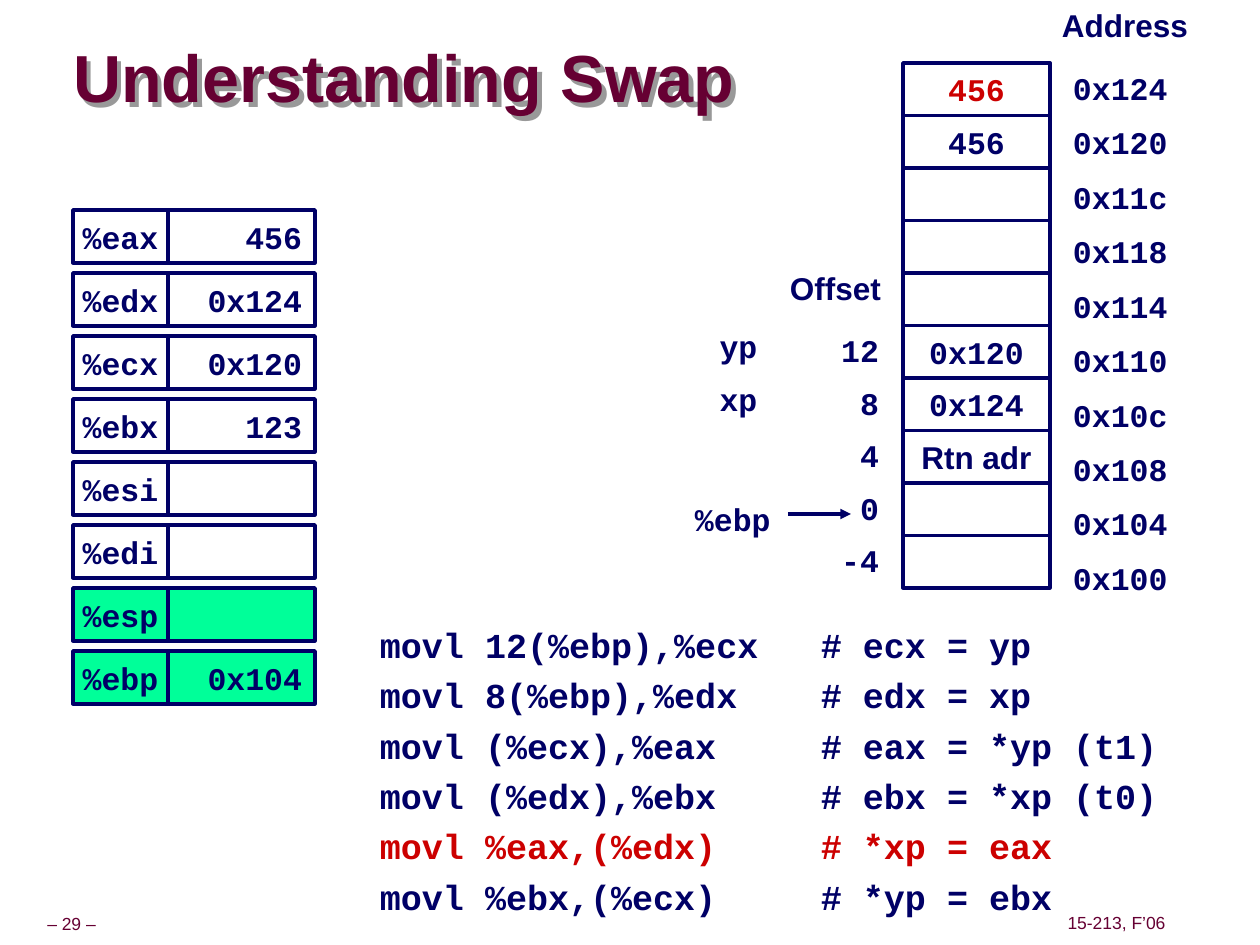
from lxml import etree
from pptx import Presentation
from pptx.dml.color import RGBColor
from pptx.enum.shapes import MSO_CONNECTOR, MSO_SHAPE
from pptx.enum.text import MSO_ANCHOR, PP_ALIGN
from pptx.oxml import parse_xml
from pptx.oxml.ns import nsdecls, qn
from pptx.util import Pt

NAVY = RGBColor(0x00, 0x00, 0x66)
MAROON = RGBColor(0x66, 0x00, 0x33)
RED = RGBColor(0xCC, 0x00, 0x00)
GREEN = RGBColor(0x00, 0xFF, 0x99)
WHITE = RGBColor(0xFF, 0xFF, 0xFF)
LEFT, CENTER, RIGHT = PP_ALIGN.LEFT, PP_ALIGN.CENTER, PP_ALIGN.RIGHT
TOP, MIDDLE = MSO_ANCHOR.TOP, MSO_ANCHOR.MIDDLE
SANS, MONO = "Arial", "Courier New"
PX = 914400 // 126

REGISTERS = [
    ("%eax", "456", WHITE),
    ("%edx", "0x124", WHITE),
    ("%ecx", "0x120", WHITE),
    ("%ebx", "123", WHITE),
    ("%esi", "", WHITE),
    ("%edi", "", WHITE),
    ("%esp", "", GREEN),
    ("%ebp", "0x104", GREEN),
]
STACK = [
    ("0x124", "456", "", "", MONO, RED),
    ("0x120", "456", "", "", MONO, NAVY),
    ("0x11c", "", "", "", MONO, NAVY),
    ("0x118", "", "", "", MONO, NAVY),
    ("0x114", "", "", "", MONO, NAVY),
    ("0x110", "0x120", "12", "yp", MONO, NAVY),
    ("0x10c", "0x124", "8", "xp", MONO, NAVY),
    ("0x108", "Rtn adr", "4", "", SANS, NAVY),
    ("0x104", "", "0", "", MONO, NAVY),
    ("0x100", "", "-4", "", MONO, NAVY),
]
CODE = [
    ("movl 12(%ebp),%ecx", "# ecx = yp", NAVY),
    ("movl 8(%ebp),%edx", "# edx = xp", NAVY),
    ("movl (%ecx),%eax", "# eax = *yp (t1)", NAVY),
    ("movl (%edx),%ebx", "# ebx = *xp (t0)", NAVY),
    ("movl %eax,(%edx)", "# *xp = eax", RED),
    ("movl %ebx,(%ecx)", "# *yp = ebx", NAVY),
]
CODE_TABS = (63, 504)
FOOTERS = [("– 29 –", 11, 909, 121), ("15-213, F’06", 1061, 908, 111)]
HEADINGS = [
    ("Address", 1049, 0, 160, SANS),
    ("Offset", 777, 263, 122, SANS),
    ("%ebp", 682, 494, 106, MONO),
]
STACK_TOP, STACK_HEIGHT, ADDRESS_SPAN = 63, 525, 490
REGISTER_TOP, REGISTER_PITCH = 210, 63


def emu(*lengths):
    return [round(length * PX) for length in lengths]


def format_paragraph(paragraph, size, font, color, align, spacing):
    paragraph.alignment = align
    paragraph.line_spacing = spacing
    for run in paragraph.runs:
        run.font.size = Pt(size)
        run.font.name = font
        run.font.bold = size > 10
        run.font.color.rgb = color


def set_text(shape, text, size=18, font=MONO, color=NAVY, align=LEFT,
             anchor=TOP, spacing=1.0, inset=(13, 6), wrap=True):
    frame = shape.text_frame
    frame.margin_left = frame.margin_right = inset[0] * PX
    frame.margin_top = frame.margin_bottom = inset[1] * PX
    frame.word_wrap = wrap
    frame.vertical_anchor = anchor
    frame.text = text
    for paragraph in frame.paragraphs:
        format_paragraph(paragraph, size, font, color, align, spacing)


def add_label(slide, box, text, **style):
    label = slide.shapes.add_textbox(*emu(*box))
    set_text(label, text, **style)
    return label


def add_cell(slide, box, text, fill, **style):
    cell = slide.shapes.add_shape(MSO_SHAPE.RECTANGLE, *emu(*box))
    cell.shadow.inherit = False
    cell.fill.solid()
    cell.fill.fore_color.rgb = fill
    cell.line.color.rgb = NAVY
    cell.line.width = Pt(2)
    set_text(cell, text, anchor=MIDDLE, wrap=False, **style)


def add_title(slide):
    title = add_label(slide, (73, 42, 878, 79), "Understanding Swap", size=38, font=SANS,
                      color=MAROON, anchor=MIDDLE, spacing=0.87, inset=(0, 0))
    title._element.spPr.append(parse_xml(
        f'<a:effectLst {nsdecls("a")}><a:outerShdw dist="50800" dir="2700000" algn="ctr">'
        '<a:srgbClr val="999999"/></a:outerShdw></a:effectLst>'))


def add_registers(slide):
    for row, (name, value, fill) in enumerate(REGISTERS):
        top = REGISTER_TOP + row * REGISTER_PITCH
        add_cell(slide, (73, top, 95, 53), name, fill, align=CENTER)
        add_cell(slide, (168, top, 147, 53), value, fill, align=RIGHT)


def add_stack(slide):
    pitch = STACK_HEIGHT / len(STACK)
    address_pitch = ADDRESS_SPAN / (len(STACK) - 1)
    for row, (address, value, offset, variable, font, color) in enumerate(STACK):
        top = STACK_TOP + row * pitch
        add_cell(slide, (903, top, 147, pitch), value, WHITE,
                 font=font, color=color, align=CENTER)
        add_label(slide, (1060, STACK_TOP + row * address_pitch, 168, 50), address)
        if offset:
            add_label(slide, (810, top, 82, 50), offset, align=RIGHT)
        if variable:
            add_label(slide, (693, top, 91, 47), variable, align=CENTER,
                      spacing=0.9, inset=(6, 6))


def add_pointer(slide):
    arrow = slide.shapes.add_connector(MSO_CONNECTOR.STRAIGHT, *emu(788, 514, 851, 514))
    arrow.line.color.rgb = NAVY
    arrow.line.width = Pt(2)
    etree.SubElement(arrow.line._get_or_add_ln(), qn("a:tailEnd"), type="triangle")
    etree.SubElement(arrow._element.spPr, qn("a:effectLst"))


def add_code(slide):
    lines = "\n".join(f"\t{code}\t{remark}" for code, remark, _ in CODE)
    listing = add_label(slide, (304, 609, 872, 315), lines, size=20, spacing=1.2)
    for paragraph, (_, _, color) in zip(listing.text_frame.paragraphs, CODE):
        paragraph.runs[0].font.color.rgb = color
        tabs = etree.SubElement(paragraph._p.get_or_add_pPr(), qn("a:tabLst"))
        for stop in CODE_TABS:
            etree.SubElement(tabs, qn("a:tab"), pos=str(stop * PX), algn="l")


def main():
    presentation = Presentation()
    presentation.slide_width, presentation.slide_height = emu(1260, 945)
    slide = presentation.slides.add_slide(presentation.slide_layouts[6])
    for text, left, top, width in FOOTERS:
        add_label(slide, (left, top, width, 32), text, size=10, font=SANS, color=MAROON,
                  align=CENTER, anchor=MIDDLE, spacing=0.9, inset=(6, 6))
    add_title(slide)
    add_registers(slide)
    add_stack(slide)
    for text, left, top, width, font in HEADINGS:
        add_label(slide, (left, top, width, 50), text, font=font)
    add_pointer(slide)
    add_code(slide)
    presentation.save("out.pptx")


if __name__ == "__main__":
    main()
